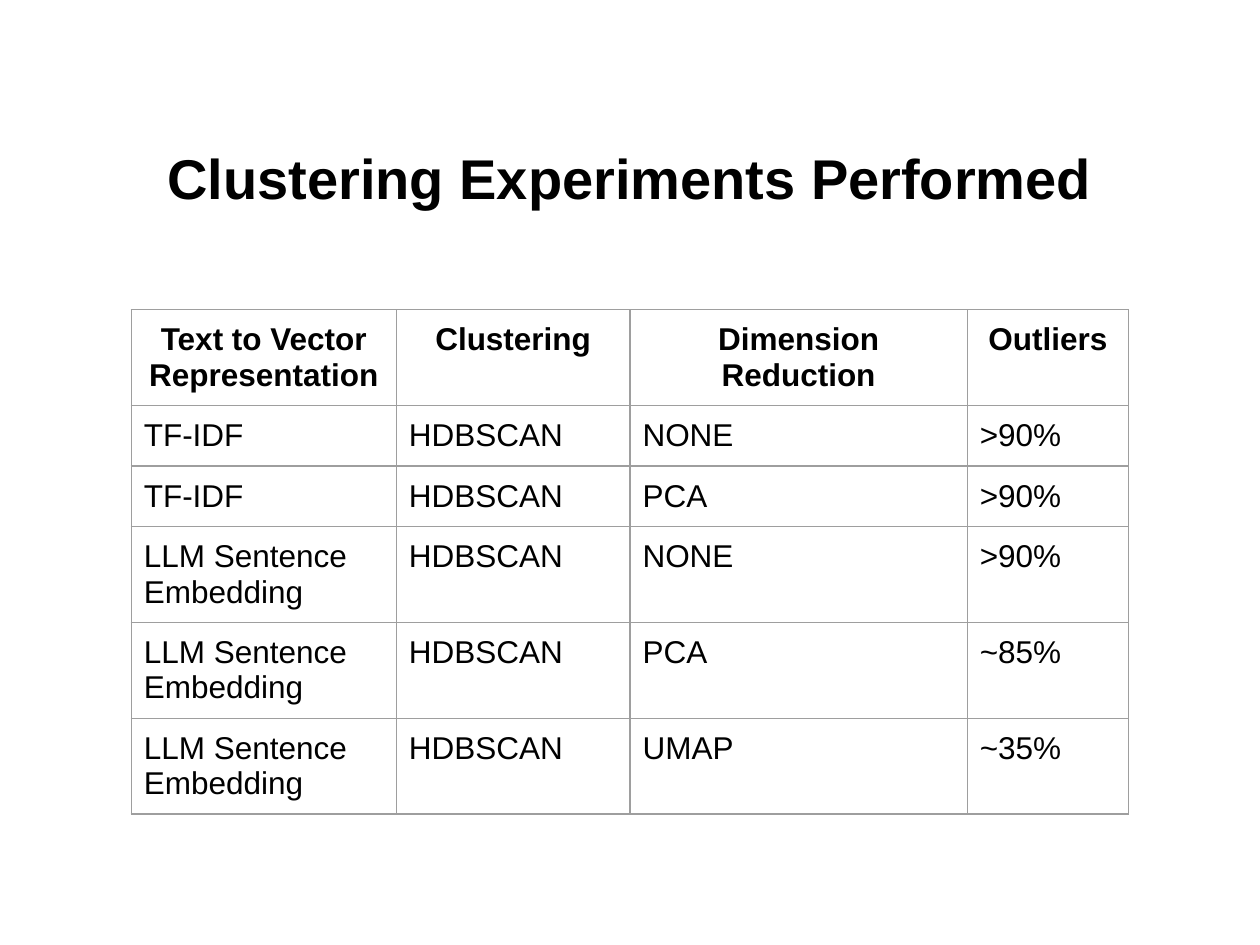
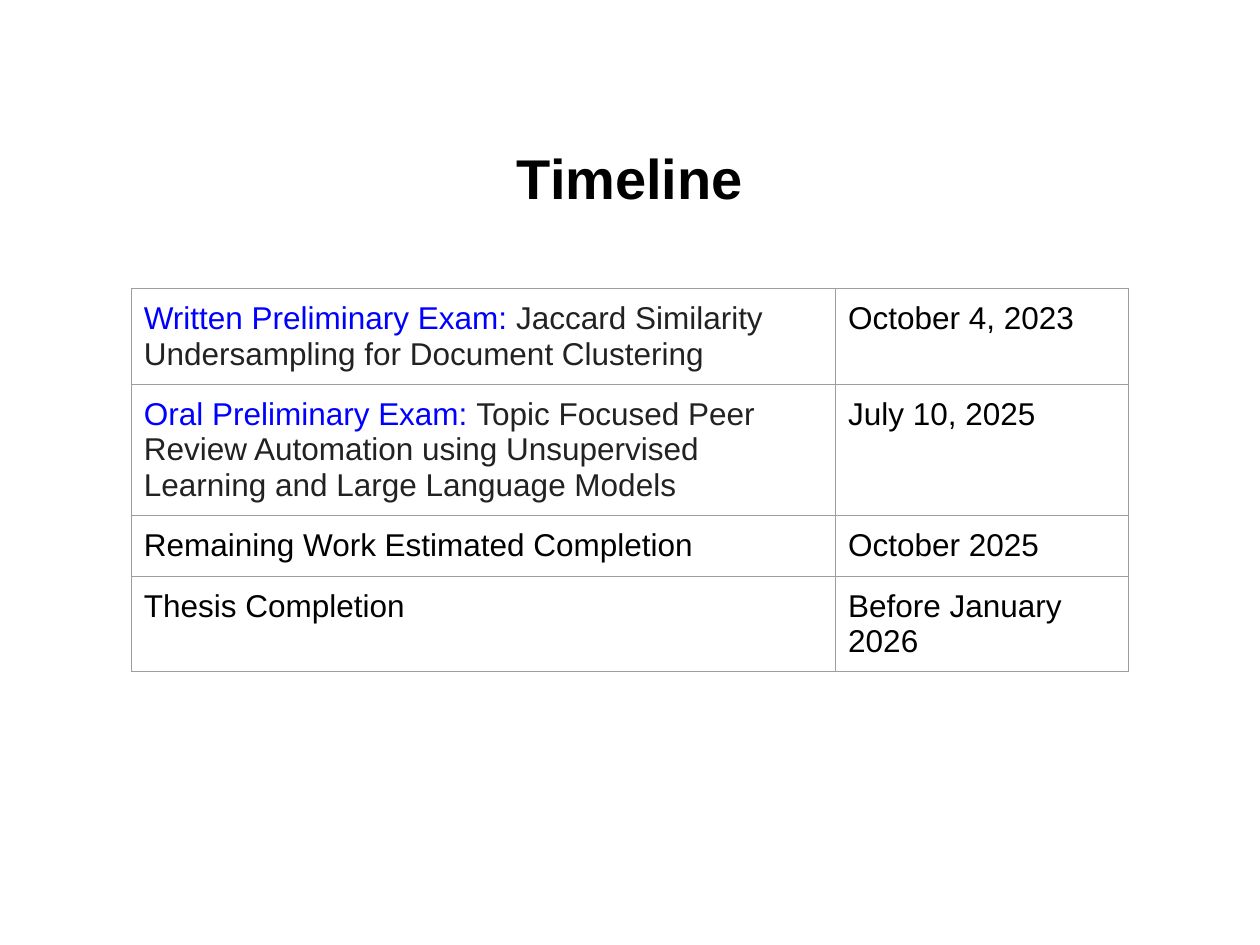
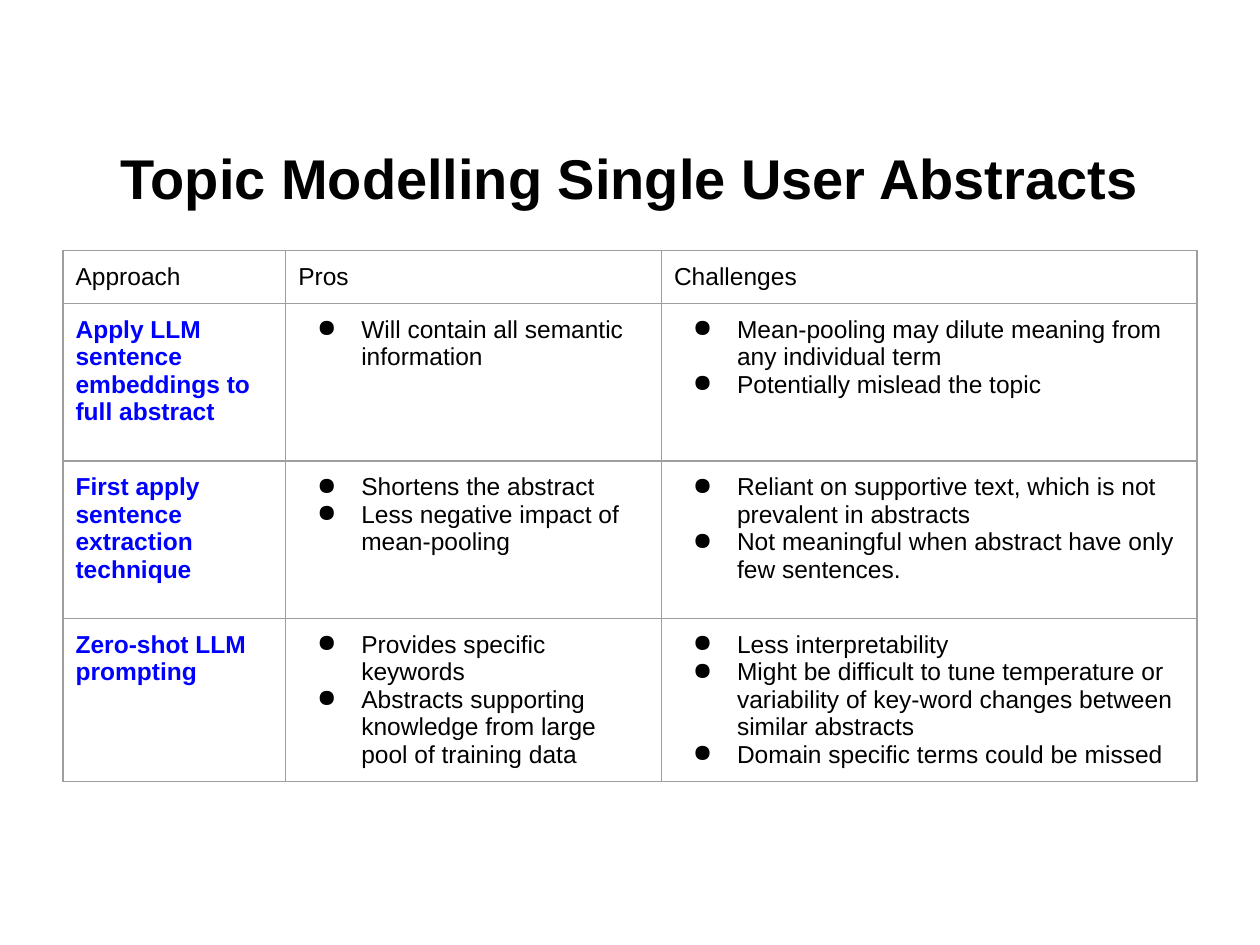
"""Build three table slides on clustering, timeline and topic modelling."""
from lxml import etree
from pptx import Presentation
from pptx.dml.color import RGBColor
from pptx.enum import text
from pptx.oxml import ns
from pptx.util import Pt

BLACK = RGBColor(0x00, 0x00, 0x00)
BLUE = RGBColor(0x00, 0x00, 0xFF)
CHARCOAL = RGBColor(0x22, 0x22, 0x22)
GRID_GREY = RGBColor(0x9E, 0x9E, 0x9E)
WHITE = RGBColor(0xFF, 0xFF, 0xFF)
FONT = "Arial"
INSET = Pt(7.2)
BORDER = Pt(0.75)
TITLE_ONLY = 5
TITLE_BOX = (36, 59, 648, 84.25)

EXPERIMENTS = [
    ("Text to Vector Representation", "Clustering", "Dimension Reduction", "Outliers"),
    ("TF-IDF", "HDBSCAN", "NONE", ">90%"),
    ("TF-IDF", "HDBSCAN", "PCA", ">90%"),
    ("LLM Sentence Embedding", "HDBSCAN", "NONE", ">90%"),
    ("LLM Sentence Embedding", "HDBSCAN", "PCA", "~85%"),
    ("LLM Sentence Embedding", "HDBSCAN", "UMAP", "~35%"),
]

MILESTONES = [
    ("Written Preliminary Exam: ",
     "Jaccard Similarity Undersampling for Document Clustering", "October 4, 2023"),
    ("Oral Preliminary Exam: ",
     "Topic Focused Peer Review Automation using Unsupervised Learning "
     "and Large Language Models", "July 10, 2025"),
    ("", "Remaining Work Estimated Completion", "October 2025"),
    ("", "Thesis Completion", "Before January 2026"),
]

APPROACHES = [
    ("Apply LLM sentence embeddings to full abstract",
     ["Will contain all semantic information"],
     ["Mean-pooling may dilute meaning from any individual term",
      "Potentially mislead the topic"]),
    ("First apply sentence extraction technique",
     ["Shortens the abstract", "Less negative impact of mean-pooling"],
     ["Reliant on supportive text, which is not prevalent in abstracts",
      "Not meaningful when abstract have only few sentences."]),
    ("Zero-shot LLM prompting",
     ["Provides specific keywords",
      "Abstracts supporting knowledge from large pool of training data"],
     ["Less interpretability",
      "Might be difficult to tune temperature or variability of key-word changes "
      "between similar abstracts",
      "Domain specific terms could be missed"]),
]


def style(para, size, color=BLACK, bold=False):
    """Set the font shared by all runs of a paragraph."""
    para.font.name = FONT
    para.font.size = Pt(size)
    para.font.bold = bold
    para.font.color.rgb = color


def set_insets(area):
    """Give a cell or text frame the same margin on every side."""
    area.margin_left = area.margin_right = INSET
    area.margin_top = area.margin_bottom = INSET


def add_page(deck, title):
    """Add a white slide with the shared centred title."""
    page = deck.slides.add_slide(deck.slide_layouts[TITLE_ONLY])
    page.background.fill.solid()
    page.background.fill.fore_color.rgb = WHITE
    box = page.shapes.title
    box.left, box.top, box.width, box.height = map(Pt, TITLE_BOX)
    frame = box.text_frame
    frame.text = title
    frame.word_wrap = True
    frame.vertical_anchor = text.MSO_ANCHOR.MIDDLE
    set_insets(frame)
    para = frame.paragraphs[0]
    para.alignment = text.PP_ALIGN.CENTER
    style(para, 32, bold=True)
    return page


def add_borders(cell):
    """Draw a thin grey line on each side of a cell."""
    properties = cell._tc.get_or_add_tcPr()
    for side in ("lnL", "lnR", "lnT", "lnB"):
        line = etree.SubElement(properties, ns.qn(f"a:{side}"), w=str(BORDER))
        fill = etree.SubElement(line, ns.qn("a:solidFill"))
        etree.SubElement(fill, ns.qn("a:srgbClr"), val=str(GRID_GREY))


def add_grid(page, left, top, widths, heights):
    """Add a plain bordered table and return it."""
    frame = page.shapes.add_table(len(heights), len(widths), Pt(left), Pt(top),
                                  Pt(sum(widths)), Pt(sum(heights)))
    table = frame.table
    table.first_row = table.horz_banding = False
    for column, width in zip(table.columns, widths):
        column.width = Pt(width)
    for row, height in zip(table.rows, heights):
        row.height = Pt(height)
    for cell in table.iter_cells():
        set_insets(cell)
        add_borders(cell)
        cell.fill.background()
    return table


def write(cell, wording, size, color=BLACK, bold=False):
    """Put one uniform paragraph in a cell and return it."""
    cell.text = wording
    para = cell.text_frame.paragraphs[0]
    style(para, size, color, bold)
    return para


def write_bullets(cell, items, size):
    """Put a bulleted list in a cell."""
    cell.text = "\n".join(items)
    for para in cell.text_frame.paragraphs:
        properties = para._p.get_or_add_pPr()
        properties.set("marL", str(Pt(36)))
        properties.set("indent", str(Pt(-25.2)))
        color = etree.SubElement(properties, ns.qn("a:buClr"))
        etree.SubElement(color, ns.qn("a:srgbClr"), val=str(BLACK))
        etree.SubElement(properties, ns.qn("a:buChar"), char="●")
        style(para, size)


def write_milestone(cell, label, topic, size):
    """Put a blue label and its dark topic in a cell."""
    para = cell.text_frame.paragraphs[0]
    style(para, size)
    for wording, color in ((label, BLUE), (topic, CHARCOAL)):
        span = para.add_run()
        span.text = wording
        span.font.color.rgb = color


def experiments_page(deck):
    """Build the table of clustering experiments."""
    page = add_page(deck, "Clustering Experiments Performed")
    table = add_grid(page, 75, 177, (151.5, 133.5, 192.75, 92.25),
                     [30] * len(EXPERIMENTS))
    for row, record in enumerate(EXPERIMENTS):
        for column, wording in enumerate(record):
            para = write(table.cell(row, column), wording, 18, bold=row == 0)
            if row == 0:
                para.alignment = text.PP_ALIGN.CENTER


def timeline_page(deck):
    """Build the table of milestones and dates."""
    page = add_page(deck, "Timeline")
    table = add_grid(page, 75, 165, (402.5, 167.5), [30] * len(MILESTONES))
    for row, (label, topic, date) in enumerate(MILESTONES):
        if label:
            write_milestone(table.cell(row, 0), label, topic, 18)
        else:
            write(table.cell(row, 0), topic, 18)
        write(table.cell(row, 1), date, 18)


def approaches_page(deck):
    """Build the table of approaches with pros and challenges."""
    page = add_page(deck, "Topic Modelling Single User Abstracts")
    table = add_grid(page, 36, 143.25, (127.25, 214.75, 306),
                     [27.5] + [90] * len(APPROACHES))
    for column, heading in enumerate(("Approach", "Pros", "Challenges")):
        write(table.cell(0, column), heading, 14)
    for row, (approach, pros, challenges) in enumerate(APPROACHES, 1):
        write(table.cell(row, 0), approach, 14, BLUE, bold=True)
        write_bullets(table.cell(row, 1), pros, 14)
        write_bullets(table.cell(row, 2), challenges, 14)


def main():
    """Build and save the deck."""
    deck = Presentation()
    deck.slide_width, deck.slide_height = Pt(720), Pt(540)
    experiments_page(deck)
    timeline_page(deck)
    approaches_page(deck)
    deck.save("out.pptx")


if __name__ == "__main__":
    main()
